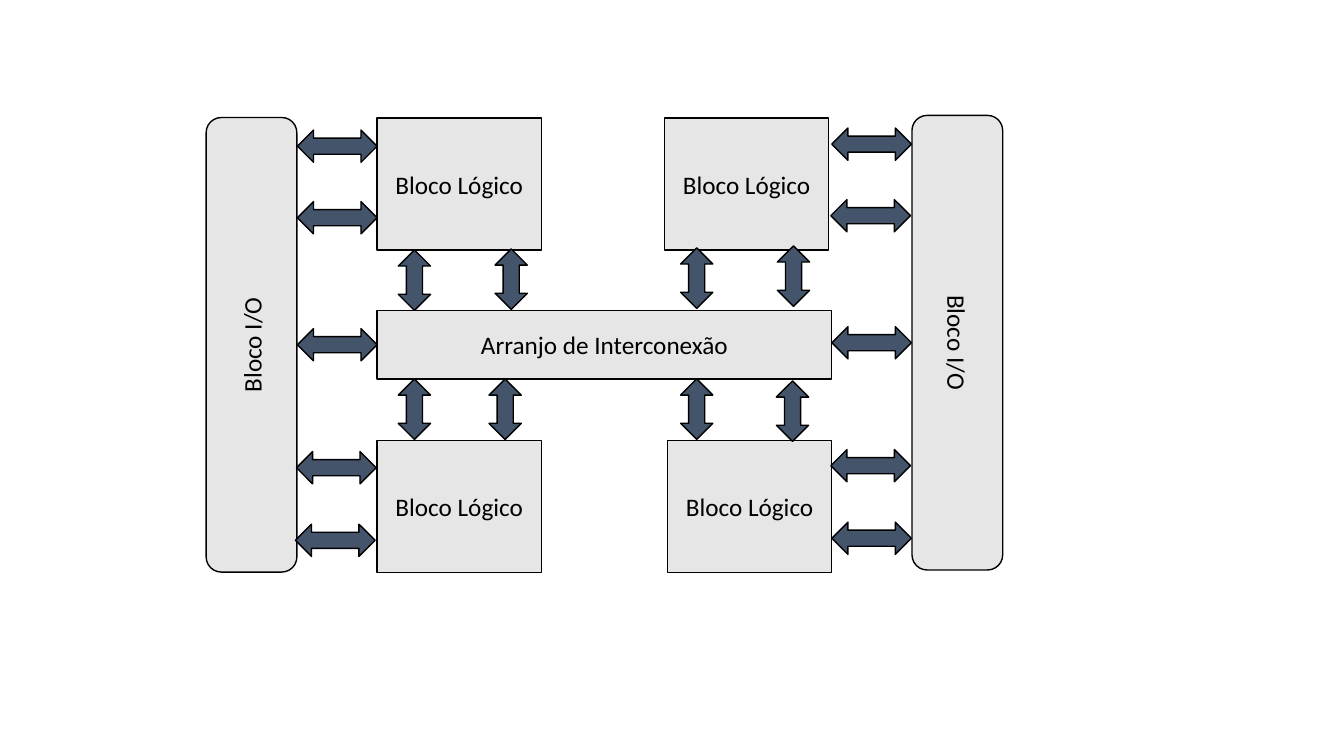
"""Build a slide showing logic blocks and I/O blocks joined by an interconnection array."""
from dataclasses import dataclass

from pptx import Presentation
from pptx.dml.color import RGBColor
from pptx.enum.shapes import MSO_SHAPE as Shp
from pptx.enum.text import MSO_ANCHOR as Anchor, PP_ALIGN as Align
from pptx.util import Inches, Pt


@dataclass(frozen=True)
class Theme:
    block: RGBColor = RGBColor(0xE7, 0xE6, 0xE6)
    arrow: RGBColor = RGBColor(0x44, 0x54, 0x6A)
    ink: RGBColor = RGBColor(0, 0, 0)
    font: str = "Calibri"
    size: Pt = Pt(18)
    line: Pt = Pt(1)


@dataclass(frozen=True)
class Node:
    left: float
    top: float
    width: float
    height: float
    text: str = ""
    kind: Shp = Shp.RECTANGLE
    rotation: int = 0


THEME = Theme()
LOGIC_SIZE = (1.63, 1.31)
IO_SIZE = (4.51, 0.9)
ARROW_W, ARROW_H = 0.79, 0.32
LINK_W = 0.6


def draw(s, node: Node, fill: RGBColor):
    box = map(Inches, (node.left, node.top, node.width, node.height))
    sp = s.shapes.add_shape(node.kind, *box)
    sp.rotation = node.rotation
    sp.shadow.inherit = False
    sp.fill.solid()
    sp.fill.fore_color.rgb = fill
    sp.line.color.rgb = THEME.ink
    sp.line.width = THEME.line
    if node.text:
        write(sp.text_frame, node.text)


def write(tf, text: str):
    tf.word_wrap = True
    tf.vertical_anchor = Anchor.MIDDLE
    p = tf.paragraphs[0]
    p.alignment = Align.CENTER
    r = p.add_run()
    r.text = text
    for name, value in {"name": THEME.font, "size": THEME.size}.items():
        setattr(r.font, name, value)
    r.font.color.rgb = THEME.ink


def arrow(left: float, top: float, width: float, rotation: int = 0) -> Node:
    return Node(left, top, width, ARROW_H, kind=Shp.LEFT_RIGHT_ARROW, rotation=rotation)


LOGIC_AT = [(3.74, 1.17), (3.74, 4.37), (6.62, 4.37), (6.59, 1.17)]
BLOCKS = [
    Node(0.24, 2.97, *IO_SIZE, "Bloco I/O", Shp.ROUNDED_RECTANGLE, 270),
    *(Node(*at, *LOGIC_SIZE, "Bloco Lógico") for at in LOGIC_AT),
    Node(7.24, 2.95, *IO_SIZE, "Bloco I/O", Shp.ROUNDED_RECTANGLE, 90),
    Node(3.74, 3.08, 4.51, 0.68, "Arranjo de Interconexão"),
]

IO_LINK_TOPS = (1.29, 2.0, 3.26, 4.48, 5.2)
LEFT_LINKS = (2.95, 2.95, 2.95, 2.94, 2.93)
RIGHT_LINKS = (8.25, 8.24, 8.25, 8.24, 8.25)
RIGHT_RISE = 0.02
ARRAY_LINKS = [
    (3.81, 2.62), (4.77, 2.61), (6.61, 2.6), (7.57, 2.58),
    (3.81, 3.9), (4.71, 3.9), (6.61, 3.9), (7.56, 3.92),
]
ARROWS = [
    *(arrow(x, y, ARROW_W) for x, y in zip(LEFT_LINKS, IO_LINK_TOPS)),
    *(arrow(x, y - RIGHT_RISE, ARROW_W) for x, y in zip(RIGHT_LINKS, IO_LINK_TOPS)),
    *(arrow(x, y, LINK_W, 90) for x, y in ARRAY_LINKS),
]

prs = Presentation()
prs.slide_width, prs.slide_height = Inches(13.33), Inches(7.5)
s = prs.slides.add_slide(prs.slide_layouts[6])
for nodes, fill in ((BLOCKS, THEME.block), (ARROWS, THEME.arrow)):
    for node in nodes:
        draw(s, node, fill)
prs.save("out.pptx")
